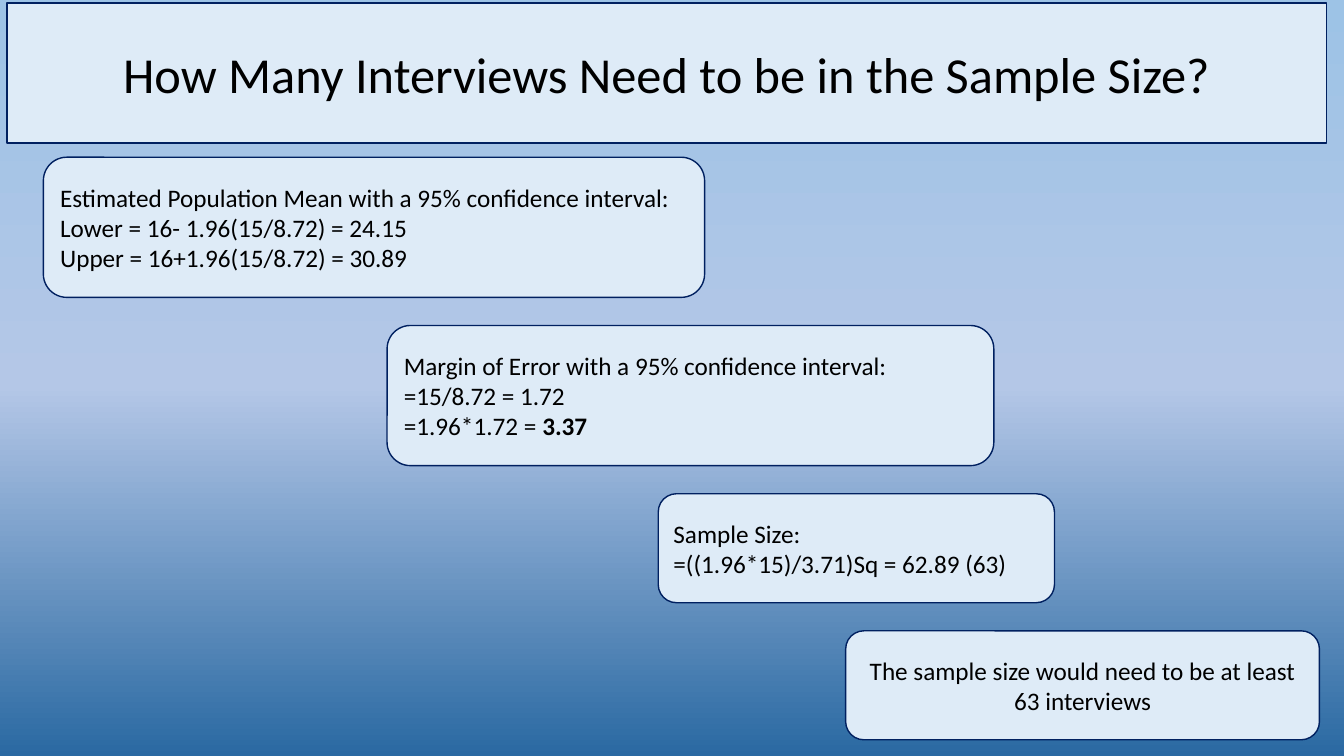
from copy import deepcopy
from dataclasses import dataclass

from lxml import etree
from pptx import Presentation
from pptx.dml.color import RGBColor
from pptx.enum.shapes import MSO_SHAPE as ShapeKind
from pptx.enum.text import MSO_ANCHOR as Anchor, MSO_AUTO_SIZE as AutoSize, PP_ALIGN as Align
from pptx.oxml.ns import qn
from pptx.shapes.base import BaseShape
from pptx.slide import Slide
from pptx.util import Pt

PANEL = RGBColor(0xDE, 0xEB, 0xF7)
NAVY = RGBColor(0x00, 0x20, 0x60)
BLACK = RGBColor(0x00, 0x00, 0x00)
BACKGROUND_STOPS = [
    (0, RGBColor(0x2A, 0x69, 0xA2)),
    (0.49, RGBColor(0xB4, 0xC7, 0xE7)),
    (1, RGBColor(0x9D, 0xC3, 0xE6)),
]

FIRST_STEP_TOP = 112.3
STEP_GAP = 20.1


@dataclass(frozen=True)
class Step:
    left: float
    width: float
    height: float
    lines: tuple[str, ...]
    result: str = ""  # bold ending of the last line
    align: Align = Align.LEFT


STEPS = [
    Step(31, 472.3, 100.1, (
        "Estimated Population Mean with a 95% confidence interval:",
        "Lower = 16- 1.96(15/8.72) = 24.15",
        "Upper = 16+1.96(15/8.72) = 30.89",
    )),
    Step(276.5, 433.4, 100.1, (
        "Margin of Error with a 95% confidence interval:",
        "=15/8.72 = 1.72",
        "=1.96*1.72 = ",
    ), result="3.37"),
    Step(470.2, 283, 77.8, ("Sample Size:", "=((1.96*15)/3.71)Sq = 62.89 (63)")),
    Step(604.1, 338.4, 77.8, (
        "The sample size would need to be at least 63 interviews",
    ), align=Align.CENTER),
]


def set_attributes(target: object, values: dict) -> None:
    for name, value in values.items():
        setattr(target, name, value)


def paint_background(slide: Slide) -> None:
    fill = slide.background.fill
    fill.gradient()
    fill.gradient_angle = 90
    stop_list = next(slide.element.iter(qn("a:gsLst")))
    stop_list.append(deepcopy(stop_list[0]))
    for stop, (position, color) in zip(fill.gradient_stops, BACKGROUND_STOPS):
        stop.position = position
        stop.color.rgb = color


def style_panel(shape: BaseShape) -> None:
    shape.fill.solid()
    shape.fill.fore_color.rgb = PANEL
    shape.line.color.rgb = NAVY
    shape.line.width = Pt(1)
    set_attributes(shape.text_frame, {
        "word_wrap": True,
        "auto_size": AutoSize.NONE,
        "vertical_anchor": Anchor.MIDDLE,
    })


def write_lines(shape: BaseShape, lines: tuple[str, ...], size: float,
                align: Align, result: str = "") -> None:
    frame = shape.text_frame
    frame.text = "\n".join(lines)
    if result:
        frame.paragraphs[-1].add_run().text = result
        frame.paragraphs[-1].runs[-1].font.bold = True
    for paragraph in frame.paragraphs:
        paragraph.alignment = align
        for run in paragraph.runs:
            set_attributes(run.font, {"name": "Calibri", "size": Pt(size)})
            run.font.color.rgb = BLACK


def add_title(slide: Slide, text: str) -> None:
    title = slide.shapes.title
    set_attributes(title, {
        "left": Pt(5), "top": Pt(2.2), "width": Pt(942.5), "height": Pt(100.1),
    })
    # Rounded outline for the title placeholder
    outline = etree.SubElement(title.element.spPr, qn("a:prstGeom"), prst="roundRect")
    etree.SubElement(outline, qn("a:avLst"))
    style_panel(title)
    write_lines(title, (text,), 36, Align.CENTER)


def add_step(slide: Slide, step: Step, top: float) -> None:
    shape = slide.shapes.add_shape(ShapeKind.ROUNDED_RECTANGLE, Pt(step.left), Pt(top),
                                   Pt(step.width), Pt(step.height))
    shape.shadow.inherit = False
    style_panel(shape)
    write_lines(shape, step.lines, 18, step.align, step.result)


def main() -> None:
    presentation = Presentation()
    set_attributes(presentation, {"slide_width": Pt(960), "slide_height": Pt(540)})
    slide = presentation.slides.add_slide(presentation.slide_layouts[5])
    paint_background(slide)
    add_title(slide, "How Many Interviews Need to be in the Sample Size?")

    # Calculation steps, stacked with equal gaps
    top = FIRST_STEP_TOP
    for step in STEPS:
        add_step(slide, step, top)
        top += step.height + STEP_GAP

    presentation.save("out.pptx")


if __name__ == "__main__":
    main()
